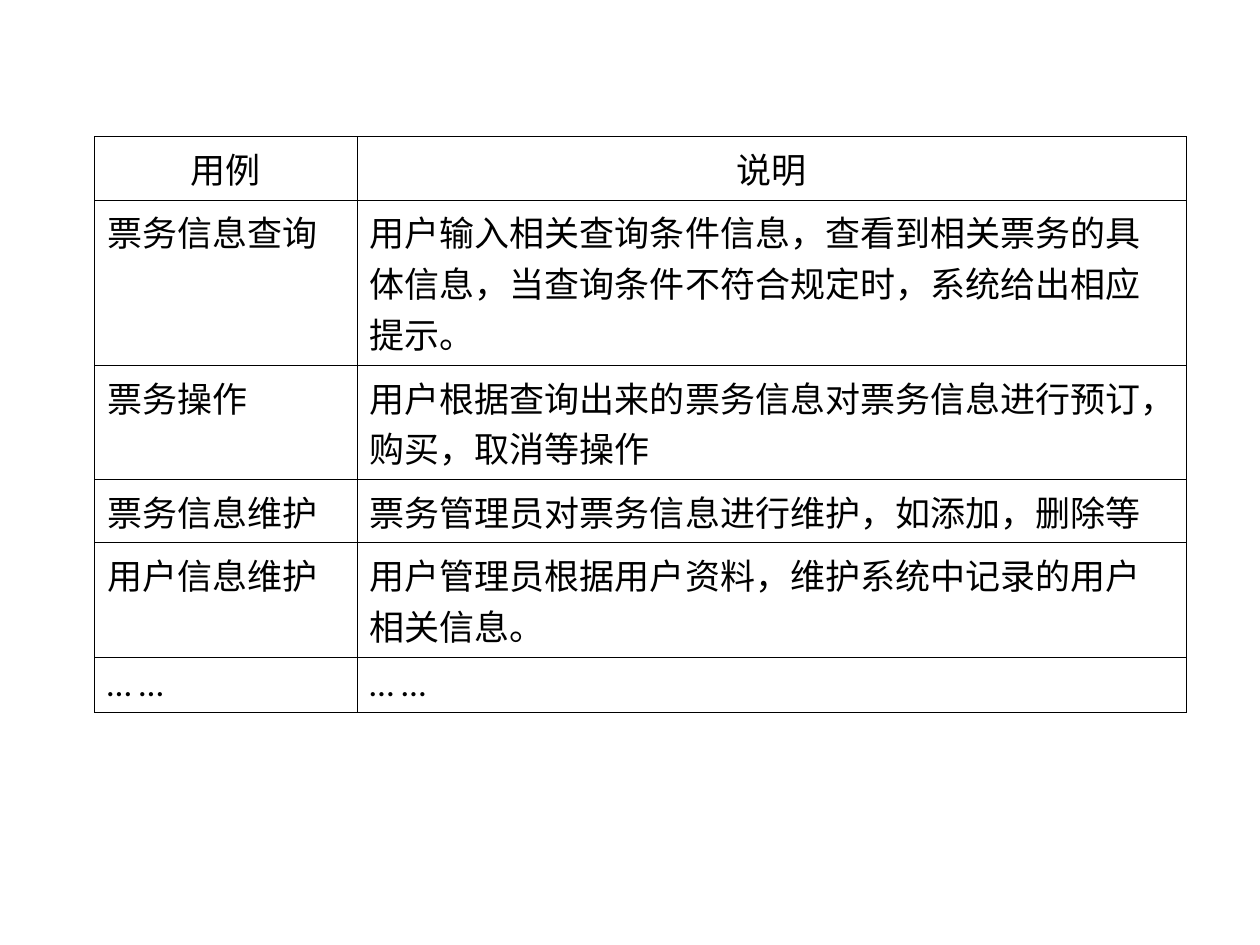
"""Build a slide with a table of ticketing use cases and their descriptions."""
from typing import NamedTuple

from lxml.etree import SubElement
from pptx import Presentation
from pptx.dml.color import RGBColor
from pptx.enum.lang import MSO_LANGUAGE_ID as Language
from pptx.enum.text import PP_ALIGN as Align
from pptx.oxml.ns import qn
from pptx.table import Table, _Cell as Cell
from pptx.util import Pt

BLACK = "000000"
BORDER_WIDTH = 0.45
COLUMN_WIDTHS = (150, 474)
LINE_HEIGHT = 23.8
ROW_PADDING = 7.9


class UseCase(NamedTuple):
    name: str
    description: str
    lines: int = 1
    align: Align = Align.LEFT


USE_CASES = [
    UseCase("用例", "说明", align=Align.CENTER),
    UseCase("票务信息查询", "用户输入相关查询条件信息，查看到相关票务的具体信息，"
            "当查询条件不符合规定时，系统给出相应提示。", lines=3),
    UseCase("票务操作", "用户根据查询出来的票务信息对票务信息进行预订，购买，取消等操作", lines=2),
    UseCase("票务信息维护", "票务管理员对票务信息进行维护，如添加，删除等"),
    UseCase("用户信息维护", "用户管理员根据用户资料，维护系统中记录的用户相关信息。", lines=2),
    UseCase("… …", "… …"),
]


def color(value: str) -> RGBColor:
    return RGBColor.from_string(value)


def draw_borders(cell: Cell) -> None:
    properties = cell._tc.get_or_add_tcPr()
    for side in ("a:lnL", "a:lnR", "a:lnT", "a:lnB"):
        border = SubElement(properties, qn(side), w=str(Pt(BORDER_WIDTH)))
        fill = SubElement(border, qn("a:solidFill"))
        SubElement(fill, qn("a:srgbClr"), val=BLACK)


def fill_cell(cell: Cell, wording: str, align: Align) -> None:
    draw_borders(cell)
    cell.fill.background()
    cell.margin_left = cell.margin_right = Pt(7.2)
    cell.margin_top = cell.margin_bottom = Pt(3.6)
    paragraph = cell.text_frame.paragraphs[0]
    paragraph.alignment = align
    run = paragraph.add_run()
    run.text = wording
    run.font.name = "Calibri"
    run.font.size = Pt(20)
    run.font.color.rgb = color(BLACK)
    run.font.language_id = Language.SIMPLIFIED_CHINESE


def fill_row(table: Table, index: int, use_case: UseCase) -> None:
    table.rows[index].height = Pt(ROW_PADDING + LINE_HEIGHT * use_case.lines)
    for column, wording in enumerate((use_case.name, use_case.description)):
        fill_cell(table.cell(index, column), wording, use_case.align)


def main() -> None:
    presentation = Presentation()
    presentation.slide_width, presentation.slide_height = Pt(720), Pt(540)
    slide = presentation.slides.add_slide(presentation.slide_layouts[6])
    table = slide.shapes.add_table(
        len(USE_CASES), len(COLUMN_WIDTHS),
        Pt(54), Pt(78), Pt(sum(COLUMN_WIDTHS)), Pt(285),
    ).table
    table.first_row = table.horz_banding = False
    for column, width in zip(table.columns, COLUMN_WIDTHS):
        column.width = Pt(width)
    for index, use_case in enumerate(USE_CASES):
        fill_row(table, index, use_case)
    presentation.save("out.pptx")


if __name__ == "__main__":
    main()
